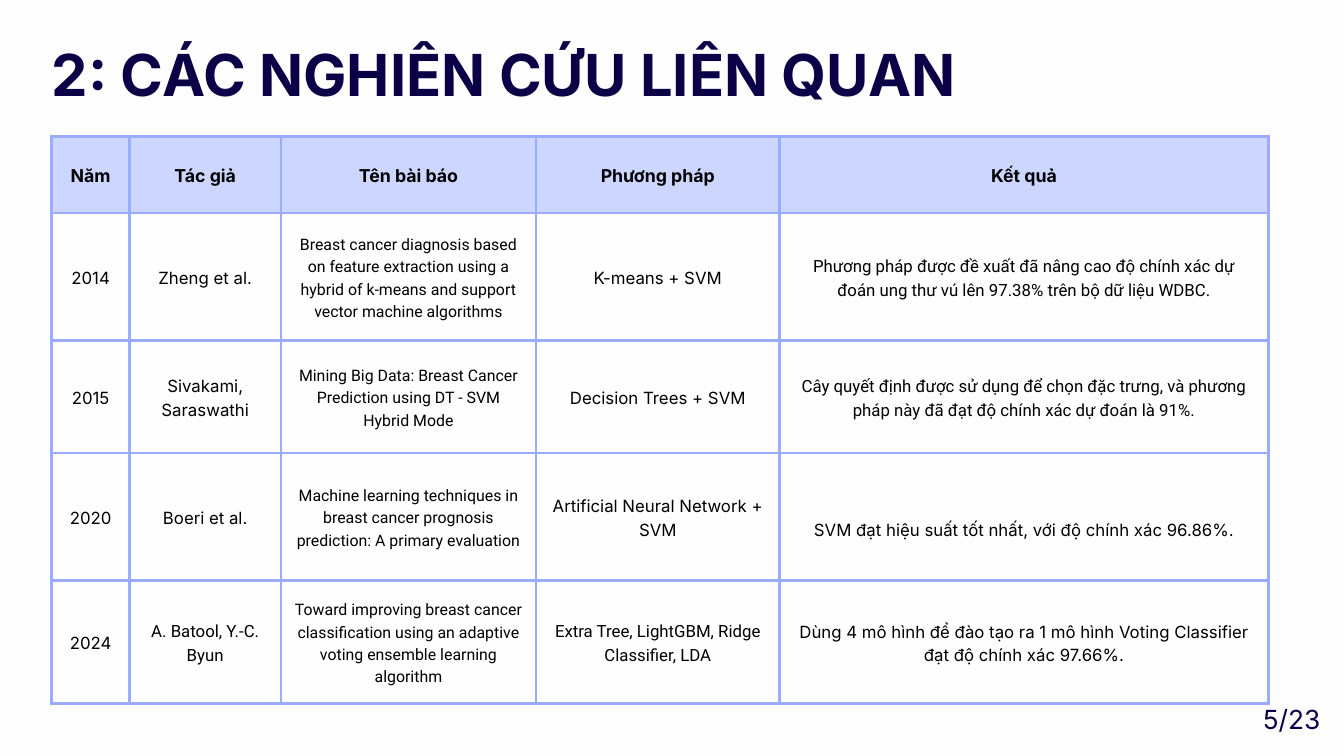
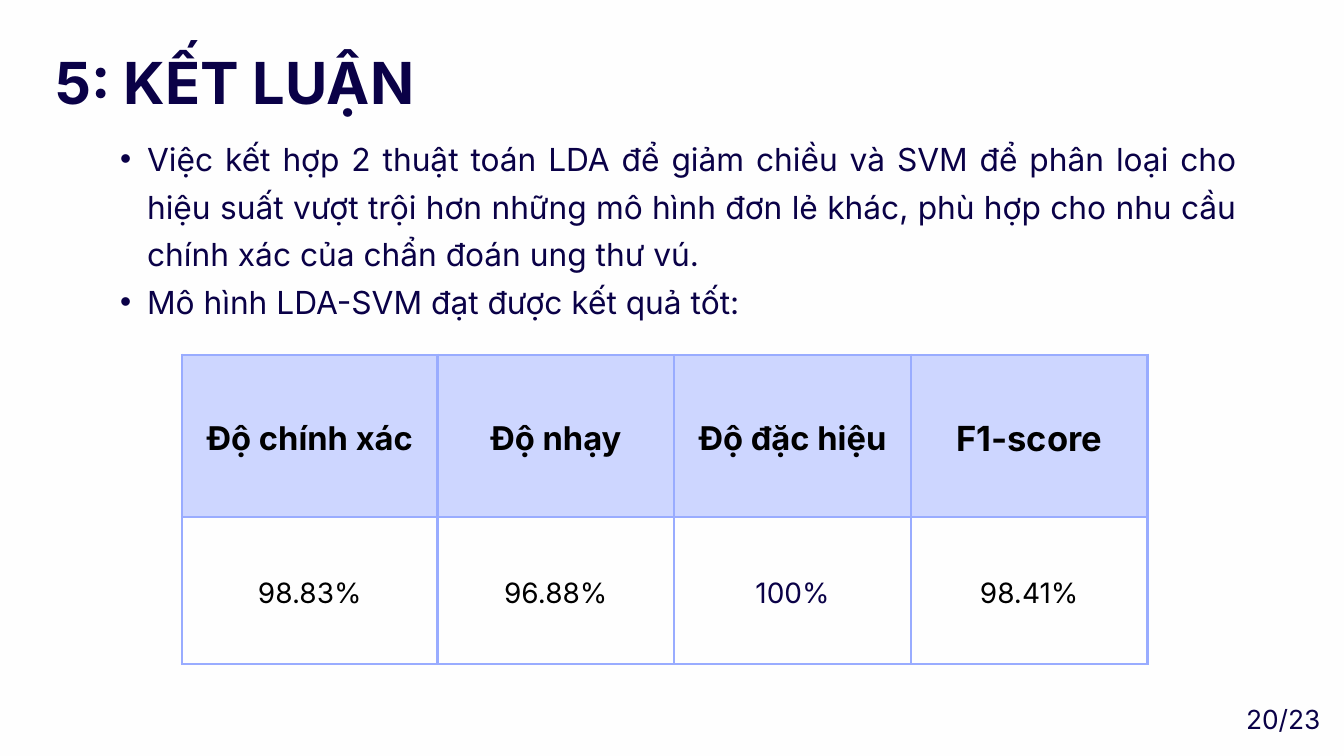
from dataclasses import dataclass

import pptx
import pptx.dml.color
import pptx.enum.text
import pptx.oxml
import pptx.oxml.ns
import pptx.util

Pt = pptx.util.Pt
ALIGN = pptx.enum.text.PP_ALIGN

COLORS = {
    "background": "FEFEFE",
    "navy": "0A0147",
    "black": "000000",
    "header": "CDD6FF",
    "border": "99ACFF",
}
INTER, ROBOTO = "Inter", "Roboto"
CELL_INSET = 15
CELL_LEADING = 1.4
BORDER_WIDTH = 3
PAGE_COUNT = 23


@dataclass
class Style:
    size: float
    leading: float
    font: str = INTER
    color: str = "navy"
    bold: bool = False
    align: ALIGN = ALIGN.LEFT


@dataclass
class Box:
    left: float
    top: float
    width: float
    height: float


@dataclass
class Cell:
    text: str
    size: float
    font: str = INTER
    color: str = "black"
    header: bool = False
    extra_top: float = 0


TITLE = Style(62, 65.1, bold=True)
PAGE_NUMBER = Style(28.2, 34.4, align=ALIGN.RIGHT)
BULLET = Style(34, 51, align=ALIGN.JUSTIFY)


def rgb(name: str) -> pptx.dml.color.RGBColor:
    return pptx.dml.color.RGBColor.from_string(COLORS[name])


def format_paragraph(p, style: Style) -> None:
    p.alignment = style.align
    p.line_spacing = Pt(style.leading)
    for r in p.runs:
        r.font.size = Pt(style.size)
        r.font.name = style.font
        r.font.bold = style.bold
        r.font.color.rgb = rgb(style.color)


def add_bullet(p) -> None:
    pPr = p._p.get_or_add_pPr()
    pPr.set("marL", str(Pt(57.6)))
    pPr.set("indent", str(Pt(-28.8)))
    ns = pptx.oxml.ns.nsdecls("a")
    pPr.append(pptx.oxml.parse_xml(f'<a:buFont {ns} typeface="Arial"/>'))
    pPr.append(pptx.oxml.parse_xml(f'<a:buChar {ns} char="•"/>'))


def add_text(slide, box: Box, lines: list[str], style: Style, bullets: bool = False) -> None:
    sp = slide.shapes.add_textbox(Pt(box.left), Pt(box.top), Pt(box.width), Pt(box.height))
    tf = sp.text_frame
    tf.word_wrap = True
    tf.margin_left = tf.margin_top = tf.margin_right = tf.margin_bottom = 0
    tf.text = "\n".join(lines)
    for p in tf.paragraphs:
        if bullets:
            p.level = 1
            add_bullet(p)
        format_paragraph(p, style)


def set_borders(cell) -> None:
    tcPr = cell._tc.get_or_add_tcPr()
    for i, side in enumerate(("lnL", "lnR", "lnT", "lnB")):
        tcPr.insert(i, pptx.oxml.parse_xml(
            f'<a:{side} {pptx.oxml.ns.nsdecls("a")} w="{Pt(BORDER_WIDTH)}">'
            f'<a:solidFill><a:srgbClr val="{COLORS["border"]}"/></a:solidFill>'
            f'<a:prstDash val="solid"/></a:{side}>'))


def fill_cell(cell, content: Cell) -> None:
    cell.margin_left = cell.margin_right = cell.margin_bottom = Pt(CELL_INSET)
    cell.margin_top = Pt(CELL_INSET + content.extra_top)
    cell.vertical_anchor = pptx.enum.text.MSO_ANCHOR.MIDDLE
    cell.text_frame.text = content.text
    format_paragraph(cell.text_frame.paragraphs[0], Style(
        content.size, content.size * CELL_LEADING, content.font,
        content.color, content.header, ALIGN.CENTER))
    if content.header:
        cell.fill.solid()
        cell.fill.fore_color.rgb = rgb("header")
    else:
        cell.fill.background()
    set_borders(cell)


def add_grid(slide, left: float, top: float, widths: list[float],
             heights: list[float], rows: list[list[Cell]]) -> None:
    table = slide.shapes.add_table(len(heights), len(widths), Pt(left), Pt(top),
                                   Pt(sum(widths)), Pt(sum(heights))).table
    table.first_row = table.horz_banding = False
    for column, width in zip(table.columns, widths):
        column.width = Pt(width)
    for row, height, contents in zip(table.rows, heights, rows):
        row.height = Pt(height)
        for cell, content in zip(row.cells, contents):
            fill_cell(cell, content)


def add_slide(prs, title: str, title_box: Box, page: int):
    slide = prs.slides.add_slide(prs.slide_layouts[6])
    slide.background.fill.solid()
    slide.background.fill.fore_color.rgb = rgb("background")
    add_text(slide, title_box, [title], TITLE)
    add_text(slide, Box(1237, 753, 177.8, 34), [f"{page}/{PAGE_COUNT}"], PAGE_NUMBER)
    return slide


def study(year: str, authors: Cell, paper: str, method: Cell, result: Cell) -> list[Cell]:
    return [Cell(year, 18), authors, Cell(paper, 17, ROBOTO), method, result]


def build_related_work(prs) -> None:
    slide = add_slide(prs, "2: CÁC NGHIÊN CỨU LIÊN QUAN", Box(55.4, 50.4, 1003.7, 67.7), 5)
    headings = ["Năm", "Tác giả", "Tên bài báo", "Phương pháp", "Kết quả"]
    rows = [
        [Cell(heading, 19, header=True) for heading in headings],
        study("2014", Cell("Zheng et al.", 18),
              "Breast cancer diagnosis based on feature extraction using a hybrid of "
              "k-means and support vector machine algorithms",
              Cell("K-means + SVM", 18),
              Cell("Phương pháp được đề xuất đã nâng cao độ chính xác dự đoán ung thư vú "
                   "lên 97.38% trên bộ dữ liệu WDBC.", 18, ROBOTO)),
        study("2015", Cell("Sivakami, Saraswathi", 18),
              "Mining Big Data: Breast Cancer Prediction using DT - SVM Hybrid Mode",
              Cell("Decision Trees + SVM", 18),
              Cell("Cây quyết định được sử dụng để chọn đặc trưng, và phương pháp này "
                   "đã đạt độ chính xác dự đoán là 91%.", 18, ROBOTO)),
        study("2020", Cell("Boeri et al.", 18),
              "Machine learning techniques in breast cancer prognosis prediction: "
              "A primary evaluation",
              Cell("Artificial Neural Network + SVM", 18),
              Cell("SVM đạt hiệu suất tốt nhất, với độ chính xác 96.86%.", 18,
                   extra_top=25.2)),
        study("2024", Cell("A. Batool, Y.-C. Byun", 18, ROBOTO),
              "Toward improving breast cancer classification using an adaptive voting "
              "ensemble learning algorithm",
              Cell("Extra Tree, LightGBM, Ridge Classifier, LDA", 18, ROBOTO),
              Cell("Dùng 4 mô hình để đào tạo ra 1 mô hình Voting Classifier "
                   "đạt độ chính xác 97.66%.", 18)),
    ]
    add_grid(slide, 55.4, 146.2, [83.5, 162, 273.6, 260.6, 524.2],
             [82, 136.8, 120.2, 136.8, 131.8], rows)


def build_conclusion(prs) -> None:
    slide = add_slide(prs, "5: KẾT LUẬN", Box(59, 59.8, 837.4, 67.7), 20)
    add_text(slide, Box(100, 139.7, 1225.4, 198.7), [
        "Việc kết hợp 2 thuật toán LDA để giảm chiều và SVM để phân loại cho hiệu suất "
        "vượt trội hơn những mô hình đơn lẻ khác, phù hợp cho nhu cầu chính xác của "
        "chẩn đoán ung thư vú.",
        "Mô hình LDA-SVM đạt được kết quả tốt:",
    ], BULLET, bullets=True)
    rows = [
        [Cell("Độ chính xác", 35, header=True), Cell("Độ nhạy", 35, header=True),
         Cell("Độ đặc hiệu", 35, header=True), Cell("F1-score", 37, header=True)],
        [Cell("98.83%", 30), Cell("96.88%", 30),
         Cell("100%", 30, color="navy"), Cell("98.41%", 30)],
    ]
    add_grid(slide, 195.1, 380.2, [273.6] + [253.6] * 3, [173.5, 157.7], rows)


def main() -> None:
    prs = pptx.Presentation()
    prs.slide_width, prs.slide_height = Pt(1440), Pt(810)
    build_related_work(prs)
    build_conclusion(prs)
    prs.save("out.pptx")


if __name__ == "__main__":
    main()
